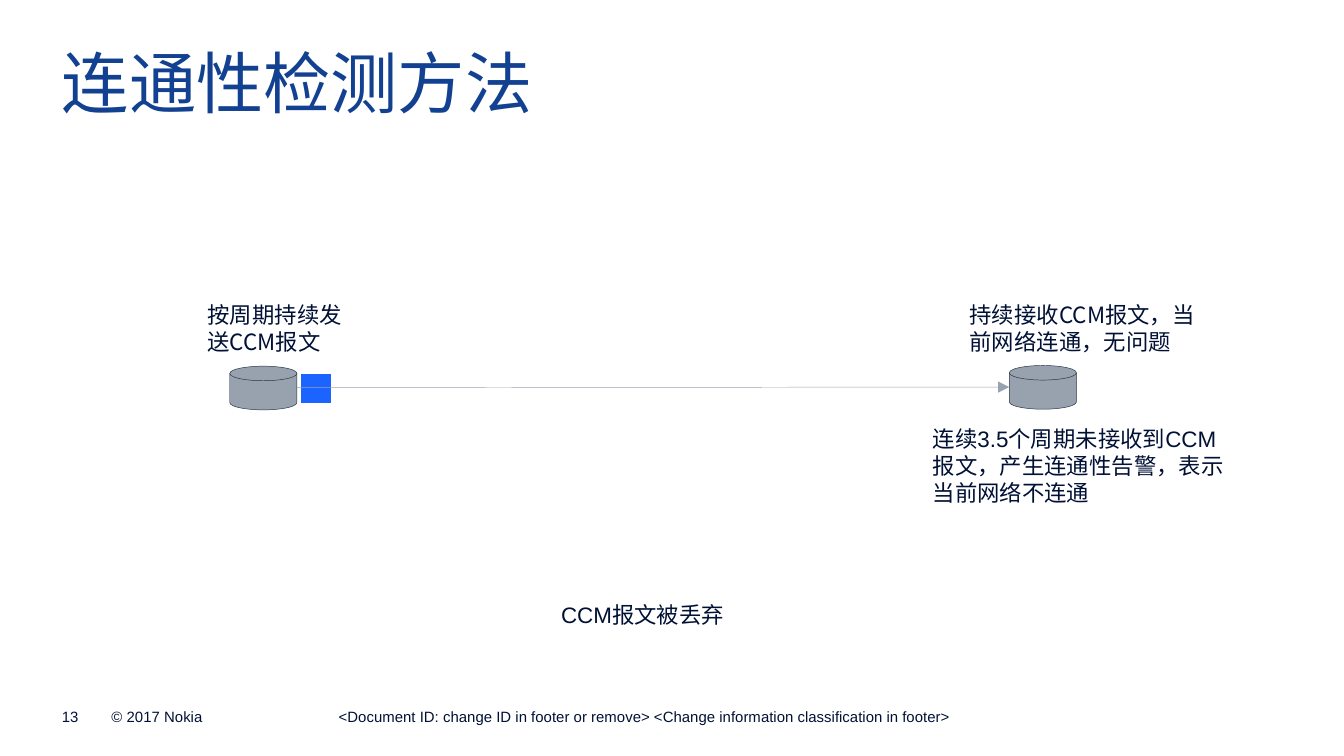
"""Slide on the connectivity check: CCM messages sent from one node to another."""
from typing import Any, NamedTuple

from lxml.etree import SubElement
from pptx import Presentation
from pptx.dml.color import RGBColor
from pptx.enum.shapes import MSO_CONNECTOR, MSO_SHAPE
from pptx.enum.text import MSO_ANCHOR, MSO_AUTO_SIZE, PP_ALIGN
from pptx.oxml.ns import qn
from pptx.util import Emu, Pt

PX = 4572
NAVY, BLUE, PACKET, GREY, EDGE = "001135", "124191", "1B64FF", "98A2AE", "273142"
CJK = "Noto Sans CJK SC"


class Box(NamedTuple):
    x: int
    y: int
    w: int
    h: int


class Label(NamedTuple):
    text: str
    box: Box
    font: str = "Arial"
    size: int = 12
    inset: int = 16
    anchor: MSO_ANCHOR = MSO_ANCHOR.TOP
    after: int = 6
    color: str = NAVY


class Block(NamedTuple):
    kind: MSO_SHAPE
    box: Box
    fill: str
    edge: str | None = None


def footer(text: str, x: int, w: int) -> Label:
    return Label(text, Box(x, 1054, w, 26), size=8, inset=0, anchor=MSO_ANCHOR.BOTTOM, after=0)


TITLE = Label("连通性检测方法", Box(92, 62, 1818, 116), "Lato", 36, 0, after=0, color=BLUE)
LABELS = [
    footer("13", 92, 56),
    footer("© 2017 Nokia", 166, 394),
    footer("<Document ID: change ID in footer or remove> "
           "<Change information classification in footer>", 504, 992),
    Label("按周期持续发送CCM报文", Box(293, 432, 252, 112), CJK),
    Label("持续接收CCM报文，当前网络连通，无问题", Box(1427, 432, 368, 112), CJK),
    Label("CCM报文被丢弃", Box(819, 879, 304, 72)),
    Label("连续3.5个周期未接收到CCM报文，产生连通性告警，表示当前网络不连通",
          Box(1372, 617, 480, 152)),
]
SENDER, RECEIVER = Box(342, 545, 100, 65), Box(1502, 544, 100, 65)
BLOCKS = [
    Block(MSO_SHAPE.FLOWCHART_MAGNETIC_DISK, SENDER, GREY, EDGE),
    Block(MSO_SHAPE.FLOWCHART_MAGNETIC_DISK, RECEIVER, GREY, EDGE),
    Block(MSO_SHAPE.FLOWCHART_PROCESS, Box(448, 556, 44, 44), PACKET),
]


def rgb(color: str) -> RGBColor:
    return RGBColor.from_string(color)


def emu(*px: int) -> list[Emu]:
    return [Emu(n * PX) for n in px]


def apply(obj: Any, values: dict[str, Any]) -> None:
    for name, value in values.items():
        setattr(obj, name, value)


def write(sp: Any, label: Label) -> None:
    tf = sp.text_frame
    inset = Emu(label.inset * PX)
    apply(tf, {"word_wrap": True, "auto_size": MSO_AUTO_SIZE.NONE,
               "vertical_anchor": label.anchor, "margin_left": inset,
               "margin_right": inset, "margin_top": inset, "margin_bottom": inset})
    p = tf.paragraphs[0]
    apply(p, {"alignment": PP_ALIGN.LEFT, "space_after": Pt(label.after)})
    r = p.add_run()
    r.text = label.text
    apply(r.font, {"name": label.font, "size": Pt(label.size)})
    r.font.color.rgb = rgb(label.color)


def draw_block(s: Any, block: Block) -> None:
    sp = s.shapes.add_shape(block.kind, *emu(*block.box))
    sp.shadow.inherit = False
    sp.fill.solid()
    sp.fill.fore_color.rgb = rgb(block.fill)
    if block.edge:
        sp.line.color.rgb = rgb(block.edge)
        sp.line.width = Pt(0.25)
    else:
        sp.line.fill.background()


def draw_arrow(s: Any, x1: int, y1: int, x2: int, y2: int) -> None:
    cx = s.shapes.add_connector(MSO_CONNECTOR.STRAIGHT, *emu(x1, y1, x2, y2))
    cx.line.color.rgb = rgb(GREY)
    cx.line.width = Pt(0.25)
    SubElement(cx.line._get_or_add_ln(), qn("a:tailEnd"), type="triangle")
    SubElement(cx._element.spPr, qn("a:effectLst"))


def main() -> None:
    prs = Presentation()
    prs.slide_width, prs.slide_height = emu(2000, 1125)
    s = prs.slides.add_slide(prs.slide_layouts[5])
    title = s.shapes.title
    apply(title, dict(zip(("left", "top", "width", "height"), emu(*TITLE.box))))
    write(title, TITLE)
    for block in BLOCKS:
        draw_block(s, block)
    draw_arrow(s, SENDER.x + SENDER.w, 577, RECEIVER.x, 576)
    for label in LABELS:
        write(s.shapes.add_textbox(*emu(*label.box)), label)
    prs.save("out.pptx")


if __name__ == "__main__":
    main()
